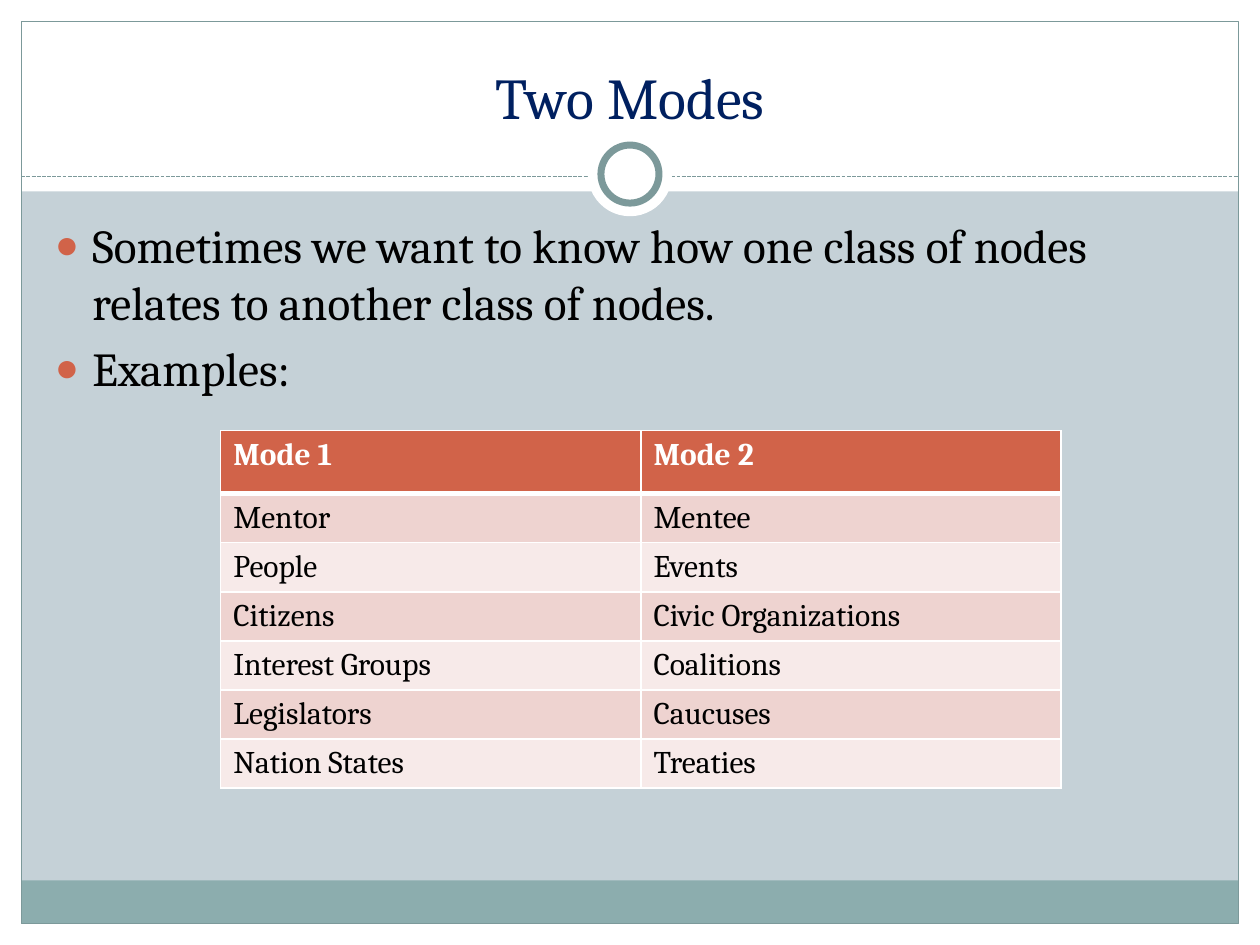
from lxml.etree import SubElement as Sub
from pptx import Presentation
from pptx.dml.color import RGBColor as RGB
from pptx.enum.dml import MSO_LINE
from pptx.enum.shapes import MSO_CONNECTOR as Link, MSO_SHAPE as Form
from pptx.enum.text import MSO_ANCHOR as Anchor, MSO_AUTO_SIZE as Fit, PP_ALIGN as Align
from pptx.oxml.ns import qn
from pptx.util import Cm, Pt

TITLE = "Two Modes"
POINTS = [
    "Sometimes we want to know how one class of nodes relates to another class of nodes.",
    "Examples:",
]
ROWS = [
    ("Mode 1", "Mode 2"),
    ("Mentor", "Mentee"),
    ("People", "Events"),
    ("Citizens", "Civic Organizations"),
    ("Interest Groups", "Coalitions"),
    ("Legislators", "Caucuses"),
    ("Nation States", "Treaties"),
]
THEME = {
    "font": "Cambria", "title": 33, "body": 27, "cell": 18,
    "back": "C5D1D7", "white": "FFFFFF", "black": "000000", "navy": "002060",
    "teal": "8CADAE", "edge": "7C999A", "rust": "D16349",
    "bands": ("F7EAE9", "EED3D0"),
}
WIDE, HIGH = 25.4, 19.05
EDGE = 0.43
HEAD = 3.86
FOOT = 0.87
RULE = 3.56
MID = WIDE / 2
HUB = 3.51


def tint(key):
    return RGB.from_string(THEME.get(key, key))


def write(frame, text, size, color="black", bold=False, align=Align.LEFT, first=True):
    para = frame.paragraphs[0] if first else frame.add_paragraph()
    para.alignment = align
    run = para.add_run()
    run.text = text
    font = run.font
    font.name, font.size, font.bold = THEME["font"], Pt(THEME[size]), bold
    font.color.rgb = tint(color)
    return para


def draw(slide, form, box, fill=None, line=None, width=0.75):
    shape = slide.shapes.add_shape(form, *map(Cm, box))
    shape.shadow.inherit = False
    if fill:
        shape.fill.solid()
        shape.fill.fore_color.rgb = tint(fill)
    else:
        shape.fill.background()
    if line:
        shape.line.color.rgb = tint(line)
        shape.line.width = Pt(width)
    else:
        shape.line.fill.background()


def ring(slide, size, **style):
    draw(slide, Form.OVAL, (MID - size / 2, HUB - size / 2, size, size), **style)


def frame(slide):
    slide.background.fill.solid()
    slide.background.fill.fore_color.rgb = tint("back")
    inner = WIDE - 2 * EDGE
    for box in [
        (0, HIGH - EDGE, WIDE, EDGE),
        (0, 0, WIDE, HEAD),
        (0, 0, EDGE, HIGH),
        (WIDE - EDGE, 0, EDGE, HIGH),
    ]:
        draw(slide, Form.RECTANGLE, box, fill="white")
    draw(slide, Form.RECTANGLE, (EDGE, HIGH - EDGE - FOOT, inner, FOOT), fill="teal")
    draw(slide, Form.RECTANGLE, (EDGE, EDGE, inner, HIGH - 2 * EDGE), line="edge")
    rule = slide.shapes.add_connector(
        Link.STRAIGHT, Cm(EDGE), Cm(RULE), Cm(WIDE - EDGE), Cm(RULE))
    rule.line.color.rgb = tint("edge")
    rule.line.width = Pt(0.75)
    rule.line.dash_style = MSO_LINE.SQUARE_DOT
    Sub(rule._element.spPr, qn("a:effectLst"))
    ring(slide, 1.7, fill="white")
    ring(slide, 1.17, fill="white", line="edge", width=4)


def place(slide, holder, box):
    holder.left, holder.top, holder.width, holder.height = map(Cm, box)
    holder.text_frame.auto_size = Fit.NONE
    slide.shapes._spTree.append(holder._element)
    return holder.text_frame


def bullet(para):
    para.space_before = Pt(THEME["body"] * 0.2)
    prop = para._p.get_or_add_pPr()
    prop.set("marL", str(Cm(0.76)))
    prop.set("indent", str(-Cm(0.76)))
    Sub(Sub(prop, qn("a:buClr")), qn("a:srgbClr"), val=THEME["rust"])
    Sub(prop, qn("a:buSzPct"), val="85000")
    Sub(prop, qn("a:buChar"), char="●")


def border(cell, row):
    prop = cell._tc.get_or_add_tcPr()
    thick = {0: "B", 1: "T"}.get(row)
    for side in "LRTB":
        width = Pt(3 if side == thick else 1)
        line = Sub(prop, qn("a:ln" + side), w=str(width))
        Sub(Sub(line, qn("a:solidFill")), qn("a:srgbClr"), val=THEME["white"])


def modes(slide):
    cols = len(ROWS[0])
    tall = [1.27] + [0.99] * (len(ROWS) - 1)
    table = slide.shapes.add_table(
        len(ROWS), cols, Cm(4.45), Cm(8.68), Cm(8.47 * cols), Cm(sum(tall))).table
    for row, texts in enumerate(ROWS):
        table.rows[row].height = Cm(tall[row])
        head = row == 0
        for col, text in enumerate(texts):
            cell = table.cell(row, col)
            border(cell, row)
            cell.fill.solid()
            cell.fill.fore_color.rgb = tint("rust" if head else THEME["bands"][row % 2])
            write(cell.text_frame, text, "cell", color="white" if head else "black", bold=head)


def main():
    deck = Presentation()
    deck.slide_width, deck.slide_height = Cm(WIDE), Cm(HIGH)
    slide = deck.slides.add_slide(deck.slide_layouts[1])
    frame(slide)
    title = place(slide, slide.shapes.title, (0.85, 0.64, 23.7, 2.12))
    title.vertical_anchor = Anchor.BOTTOM
    write(title, TITLE, "title", color="navy", align=Align.CENTER)
    body = place(slide, slide.placeholders[1], (0.85, 4.24, 23.62, 12.7))
    for num, text in enumerate(POINTS):
        bullet(write(body, text, "body", first=num == 0))
    modes(slide)
    deck.save("out.pptx")


if __name__ == "__main__":
    main()
